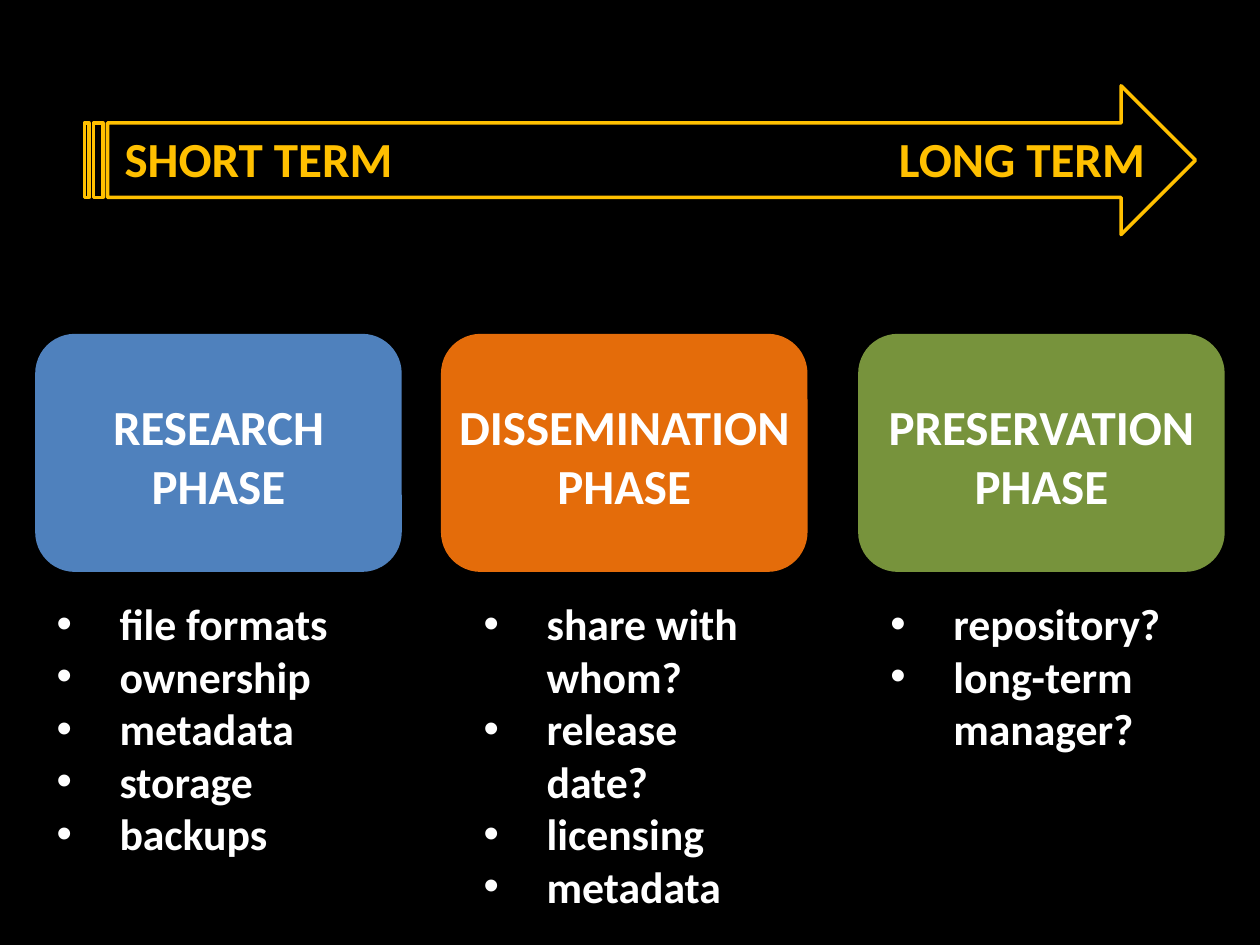
from lxml.etree import SubElement
from pptx import Presentation
from pptx.dml.color import RGBColor
from pptx.enum.shapes import MSO_SHAPE
from pptx.enum.text import MSO_AUTO_SIZE, PP_ALIGN
from pptx.oxml.ns import qn
from pptx.util import Cm, Pt

BLACK = RGBColor(0x00, 0x00, 0x00)
WHITE = RGBColor(0xFF, 0xFF, 0xFF)
GOLD = RGBColor(0xFF, 0xC0, 0x00)
BLUE = RGBColor(0x4F, 0x81, 0xBD)
ORANGE = RGBColor(0xE4, 0x6C, 0x0A)
GREEN = RGBColor(0x77, 0x93, 0x3C)

TERMS = [("SHORT TERM", 2.11), ("LONG TERM", 17.5)]
PHASES = [
    dict(name=["RESEARCH PHASE"], fill=BLUE, left=0.71, inset=0.6,
         notes=["file formats", "ownership", "metadata", "storage", "backups"],
         list_at=(0.89, 7.01, 5.59)),
    dict(name=["DISSEMINATION PHASE"], fill=ORANGE, left=8.89, inset=0,
         notes=["share with whom?", "release date?", "licensing", "metadata"],
         list_at=(9.5, 6.2, 6.68)),
    dict(name=["PRESERVATION", "PHASE"], fill=GREEN, left=17.3, inset=0,
         notes=["repository?", "long-term manager?"],
         list_at=(17.7, 6.4, 3.45)),
]
BOX_TOP, BOX_WIDE, BOX_HIGH = 6.73, 7.39, 4.8
NAME_TOP, NAME_HIGH = 7.87, 2.64
LIST_TOP, INDENT = 11.91, 1.27


def add_text(shapes, lines, at, size=28, color=WHITE, bullet=False):
    box = shapes.add_textbox(*map(Cm, at))
    frame = box.text_frame
    frame.word_wrap = True
    frame.auto_size = MSO_AUTO_SIZE.SHAPE_TO_FIT_TEXT
    for i, line in enumerate(lines):
        para = frame.paragraphs[0] if i == 0 else frame.add_paragraph()
        para.alignment = PP_ALIGN.LEFT if bullet else PP_ALIGN.CENTER
        run = para.add_run()
        run.text = line
        font = run.font
        font.name, font.size, font.bold = "Calibri", Pt(size), True
        font.color.rgb = color
        if bullet:
            props = para._p.get_or_add_pPr()
            props.set("marL", str(Cm(INDENT)))
            props.set("indent", str(-Cm(INDENT)))
            SubElement(props, qn("a:buFont"), typeface="Arial")
            SubElement(props, qn("a:buChar"), char="•")


def add_shape(shapes, kind, at, fill=None, line=None):
    shape = shapes.add_shape(kind, *map(Cm, at))
    shape.shadow.inherit = False
    if fill is None:
        shape.fill.background()
    else:
        shape.fill.solid()
        shape.fill.fore_color.rgb = fill
    if line is None:
        shape.line.fill.background()
    else:
        shape.line.color.rgb = line
        shape.line.width = Pt(2)


def main():
    deck = Presentation()
    deck.slide_width, deck.slide_height = Cm(25.4), Cm(19.05)
    slide = deck.slides.add_slide(deck.slide_layouts[6])
    slide.background.fill.solid()
    slide.background.fill.fore_color.rgb = BLACK
    shapes = slide.shapes

    for phase in PHASES:
        group = shapes.add_group_shape().shapes
        left, inset = phase["left"], phase["inset"]
        add_shape(group, MSO_SHAPE.ROUNDED_RECTANGLE,
                  (left, BOX_TOP, BOX_WIDE, BOX_HIGH), fill=phase["fill"])
        add_text(group, phase["name"],
                 (left + inset, NAME_TOP, BOX_WIDE - 2 * inset, NAME_HIGH))

    add_shape(shapes, MSO_SHAPE.STRIPED_RIGHT_ARROW, (1.7, 1.73, 22.4, 3), line=GOLD)
    for term, left in TERMS:
        add_text(shapes, [term], (left, 2.46, 6.2, 1.45), color=GOLD)

    for phase in PHASES:
        left, wide, high = phase["list_at"]
        add_text(shapes, phase["notes"], (left, LIST_TOP, wide, high),
                 size=25, bullet=True)

    deck.save("out.pptx")


if __name__ == "__main__":
    main()
